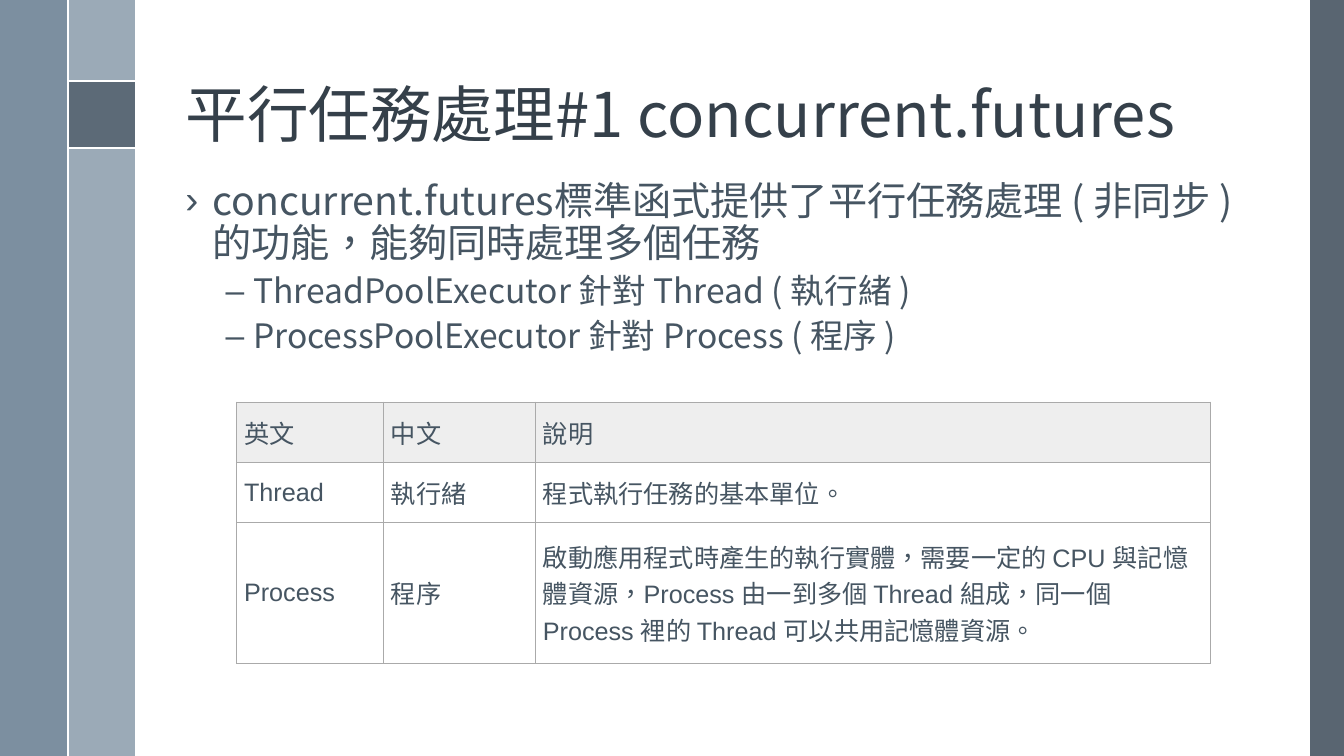
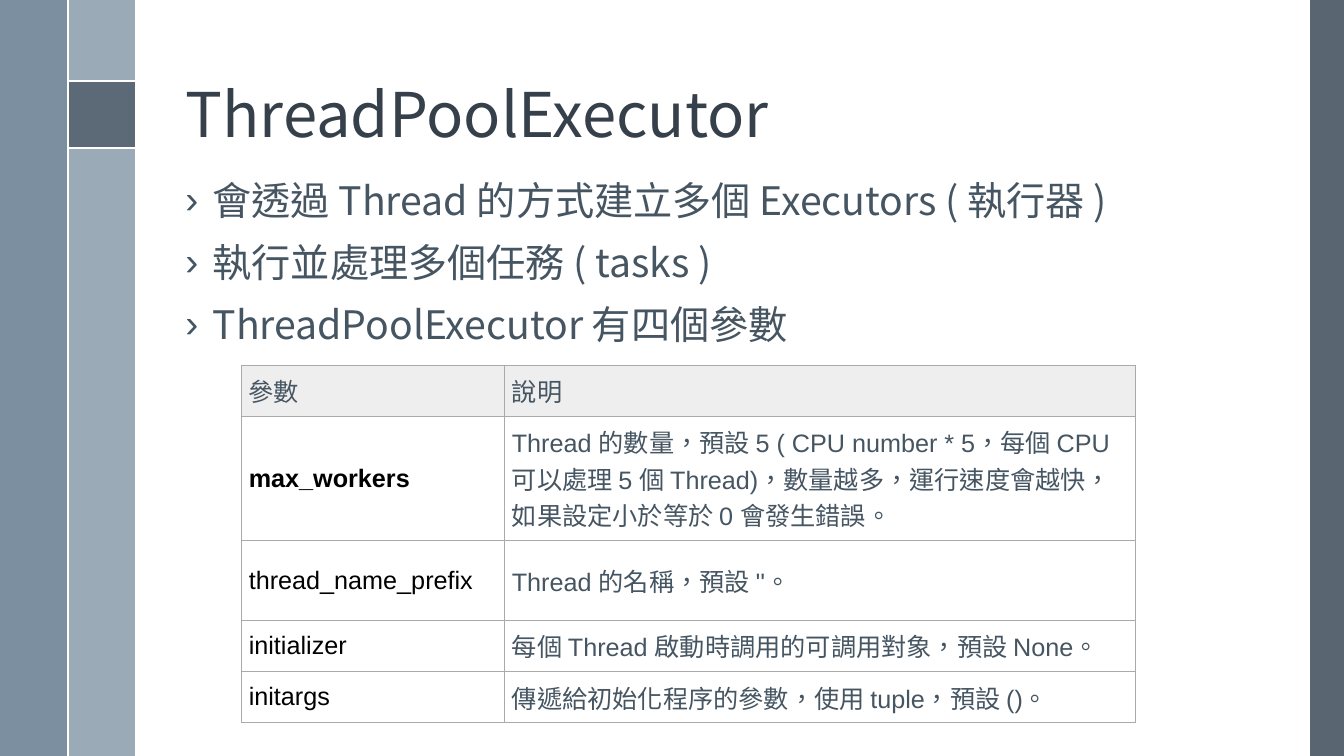
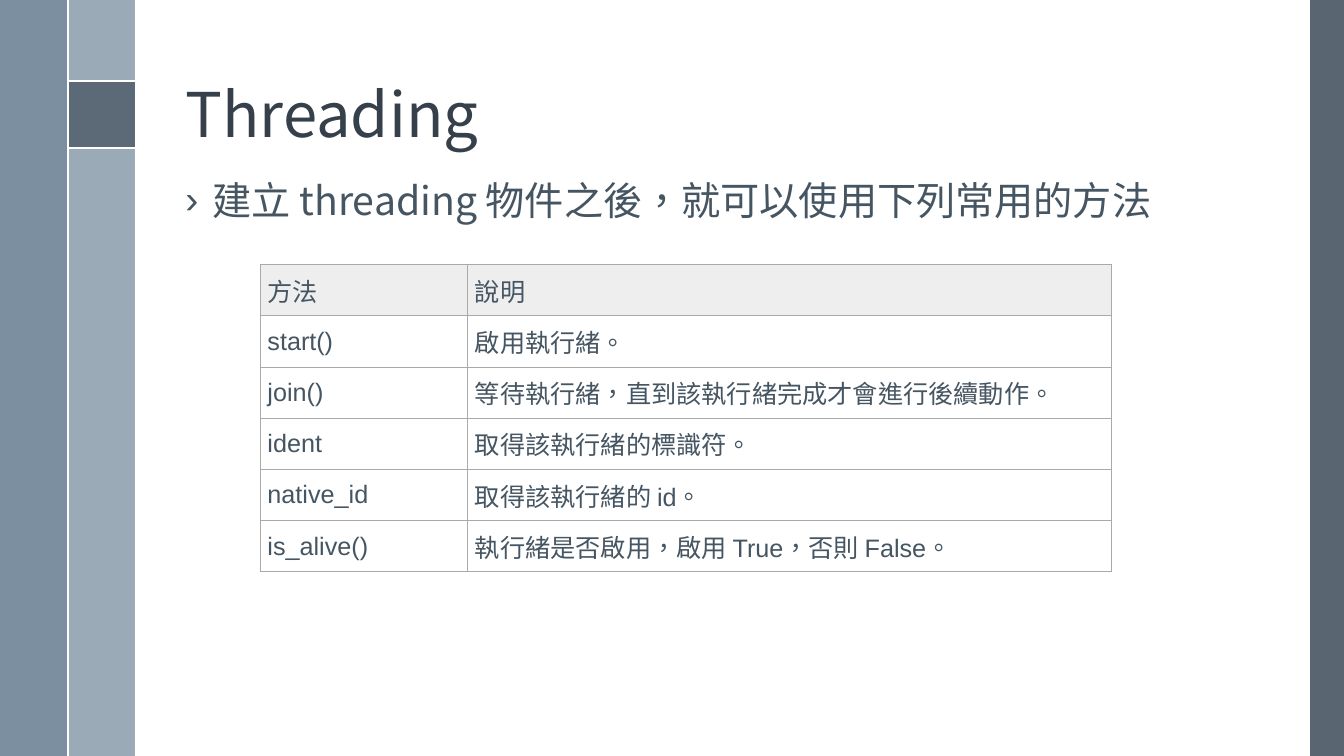
from lxml.etree import SubElement
from pptx import Presentation
from pptx.dml.color import RGBColor
from pptx.enum.shapes import MSO_CONNECTOR, MSO_SHAPE
from pptx.enum.text import MSO_ANCHOR, MSO_AUTO_SIZE, PP_ALIGN
from pptx.oxml import parse_xml
from pptx.oxml.ns import nsdecls, qn
from pptx.util import Cm, Pt

RECT = MSO_SHAPE.RECTANGLE
LINE = MSO_CONNECTOR.STRAIGHT
MIDDLE, BOTTOM = MSO_ANCHOR.MIDDLE, MSO_ANCHOR.BOTTOM
LEFT = PP_ALIGN.LEFT
FIXED = MSO_AUTO_SIZE.NONE

WHITE = RGBColor(0xFF, 0xFF, 0xFF)
BLACK = RGBColor(0, 0, 0)
INK = RGBColor(0x35, 0x40, 0x4A)
TEXT = RGBColor(0x46, 0x55, 0x62)
SLATE = RGBColor(0x47, 0x55, 0x62)
MIST = RGBColor(0x9B, 0xAA, 0xB7)
STEEL = RGBColor(0x6A, 0x80, 0x93)
HEAD = RGBColor(0xEE, 0xEE, 0xEE)
RULE = RGBColor(0xAA, 0xAA, 0xAA)

CJK = "Noto Sans CJK TC"
SANS = "Arial"
WIDE, HIGH = 33.87, 19.05
BAND = 1.69
COL = 1.71
TOP = 2.05
MARGIN = 4.42
SPAN = 27.18
INSET = Cm(0.18)
ROW = 1.29
LEVELS = (
    {"mark": "›", "size": 28, "gap": 14, "left": 0.69},
    {"mark": "–", "size": 24, "gap": 6, "left": 1.71},
)
HANG = 0.69


def style(para, name, size, color, bold=False):
    """Format every run of a paragraph."""
    for run in para.runs:
        font = run.font
        font.name, font.size, font.bold = name, Pt(size), bold
        font.color.rgb = color


def set_east(shape):
    """Give all runs of a shape the East Asian language and font."""
    for props in shape.element.iter(qn("a:rPr")):
        props.set("lang", "zh-TW")
        SubElement(props, qn("a:ea")).set("typeface", CJK)


def add_band(slide, left, top, width, height, color, alpha=100):
    """Add a plain band, see-through if alpha is below 100."""
    band = slide.shapes.add_shape(RECT, Cm(left), Cm(top), Cm(width), Cm(height))
    band.shadow.inherit = False
    band.fill.solid()
    band.fill.fore_color.rgb = color
    band.line.fill.background()
    if alpha < 100:
        tone = band.element.spPr.find(".//" + qn("a:srgbClr"))
        SubElement(tone, qn("a:alpha")).set("val", str(alpha * 1000))
    return band


def add_rule(slide, x1, y1, x2, y2):
    """Add a thin white line."""
    rule = slide.shapes.add_connector(LINE, Cm(x1), Cm(y1), Cm(x2), Cm(y2))
    rule.line.color.rgb = WHITE
    rule.line.width = Pt(1.5)
    SubElement(rule.element.spPr, qn("a:effectLst"))
    return rule


def add_frame(slide, layout):
    """Draw the side bands and move them to the shared layout."""
    edge, base = COL + BAND, TOP + BAND
    parts = [
        add_band(slide, 33.02, 0, 0.85, HIGH, SLATE, 90),
        add_band(slide, COL, 0, BAND, HIGH, MIST),
        add_band(slide, 0, 0, BAND, HIGH, STEEL, 88),
        add_band(slide, COL, TOP, BAND, BAND, SLATE, 75),
        add_rule(slide, COL, TOP, edge, TOP),
        add_rule(slide, COL, base, edge, base),
        add_rule(slide, COL, 0, COL, HIGH),
    ]
    for num, part in enumerate(parts, 20):
        part.element.find(".//" + qn("p:cNvPr")).set("id", str(num))
        layout.shapes.element.append(part.element)


def set_title(slide, text):
    """Place and format the title."""
    title = slide.shapes.title
    title.left, title.top = Cm(MARGIN), Cm(0.48)
    title.width, title.height = Cm(SPAN), Cm(3.45)
    frame = title.text_frame
    frame.text = text
    frame.auto_size = FIXED
    frame.word_wrap = True
    frame.vertical_anchor = BOTTOM
    para = frame.paragraphs[0]
    para.alignment, para.line_spacing = LEFT, 0.9
    style(para, CJK, 44, INK)
    set_east(title)


def add_list(slide, items):
    """Add a bulleted list of (level, text) items."""
    box = slide.shapes.add_textbox(Cm(MARGIN), Cm(4.45), Cm(SPAN), Cm(12.7))
    frame = box.text_frame
    frame.word_wrap = True
    frame.text = "\n".join(text for _, text in items)
    for para, (depth, _) in zip(frame.paragraphs, items):
        level = LEVELS[depth]
        para.level, para.line_spacing = depth, 0.9
        para.space_before = Pt(level["gap"])
        style(para, CJK, level["size"], TEXT)
    for props, (depth, _) in zip(box.element.iter(qn("a:pPr")), items):
        level = LEVELS[depth]
        props.set("marL", str(Cm(level["left"])))
        props.set("indent", str(-Cm(HANG)))
        SubElement(props, qn("a:buFont")).set("typeface", SANS)
        SubElement(props, qn("a:buChar")).set("char", level["mark"])
    set_east(box)


def set_edges(grid):
    """Draw thin grey borders round every cell."""
    for props in grid.element.iter(qn("a:tcPr")):
        for num, side in enumerate(("lnL", "lnR", "lnT", "lnB")):
            props.insert(num, parse_xml(
                f'<a:{side} {nsdecls("a")} w="{Pt(0.75)}"><a:solidFill>'
                f'<a:srgbClr val="{RULE}"/></a:solidFill></a:{side}>'))


def add_grid(slide, left, top, cols, rows, cells, key=TEXT, strong=()):
    """Add a table with a grey head row and a key column."""
    grid = slide.shapes.add_table(
        len(rows), len(cols), Cm(left), Cm(top), Cm(sum(cols)), Cm(sum(rows)))
    table = grid.table
    table.first_row = table.horz_banding = False
    for col, width in zip(table.columns, cols):
        col.width = Cm(width)
    for row, height in zip(table.rows, rows):
        row.height = Cm(height)
    for y, line in enumerate(cells):
        for x, text in enumerate(line):
            cell = table.cell(y, x)
            cell.text = text
            cell.vertical_anchor = MIDDLE
            cell.margin_left = cell.margin_right = INSET
            cell.margin_top = cell.margin_bottom = INSET
            cell.fill.solid()
            cell.fill.fore_color.rgb = WHITE if y else HEAD
            color = key if y and x == 0 else TEXT
            style(cell.text_frame.paragraphs[0], SANS, 18, color, text in strong)
    set_edges(grid)
    set_east(grid)


def add_page(deck, title, items):
    """Add a slide with its title and list."""
    slide = deck.slides.add_slide(deck.slide_layouts[5])
    set_title(slide, title)
    add_list(slide, items)
    return slide


def main():
    """Build and save the deck."""
    deck = Presentation()
    deck.slide_width, deck.slide_height = Cm(WIDE), Cm(HIGH)

    tasks = add_page(deck, "平行任務處理#1 concurrent.futures", [
        (0, "concurrent.futures標準函式提供了平行任務處理 ( 非同步 ) 的功能，能夠同時處理多個任務"),
        (1, "ThreadPoolExecutor 針對 Thread ( 執行緒 )"),
        (1, "ProcessPoolExecutor 針對 Process ( 程序 )"),
    ])
    add_frame(tasks, deck.slide_layouts[5])
    add_grid(tasks, 5.97, 10.13, (3.7, 3.83, 17), (1.52, 1.52, 3.54), [
        ("英文", "中文", "說明"),
        ("Thread", "執行緒", "程式執行任務的基本單位。"),
        ("Process", "程序",
         "啟動應用程式時產生的執行實體，需要一定的 CPU 與記憶體資源，"
         "Process 由一到多個 Thread 組成，同一個 Process 裡的 Thread 可以共用記憶體資源。"),
    ])

    pool = add_page(deck, "ThreadPoolExecutor", [
        (0, "會透過 Thread 的方式建立多個 Executors ( 執行器 )"),
        (0, "執行並處理多個任務 ( tasks )"),
        (0, "ThreadPoolExecutor 有四個參數"),
    ])
    add_grid(pool, 6.09, 9.2, (6.63, 15.9), (ROW, 3.13, 2.01, ROW, ROW), [
        ("參數", "說明"),
        ("max_workers",
         "Thread 的數量，預設 5 ( CPU number * 5，每個 CPU 可以處理 5 個 Thread)，"
         "數量越多，運行速度會越快，如果設定小於等於 0 會發生錯誤。"),
        ("thread_name_prefix", "Thread 的名稱，預設 ''。"),
        ("initializer", "每個 Thread 啟動時調用的可調用對象，預設 None。"),
        ("initargs", "傳遞給初始化程序的參數，使用 tuple，預設 ()。"),
    ], BLACK, ("max_workers",))

    thread = add_page(deck, "Threading", [
        (0, "建立 threading 物件之後，就可以使用下列常用的方法"),
    ])
    add_grid(thread, 6.56, 6.67, (5.23, 16.23), (ROW,) * 6, [
        ("方法", "說明"),
        ("start()", "啟用執行緒。"),
        ("join()", "等待執行緒，直到該執行緒完成才會進行後續動作。"),
        ("ident", "取得該執行緒的標識符。"),
        ("native_id", "取得該執行緒的 id。"),
        ("is_alive()", "執行緒是否啟用，啟用 True，否則 False。"),
    ])
    deck.save("out.pptx")


if __name__ == "__main__":
    main()
